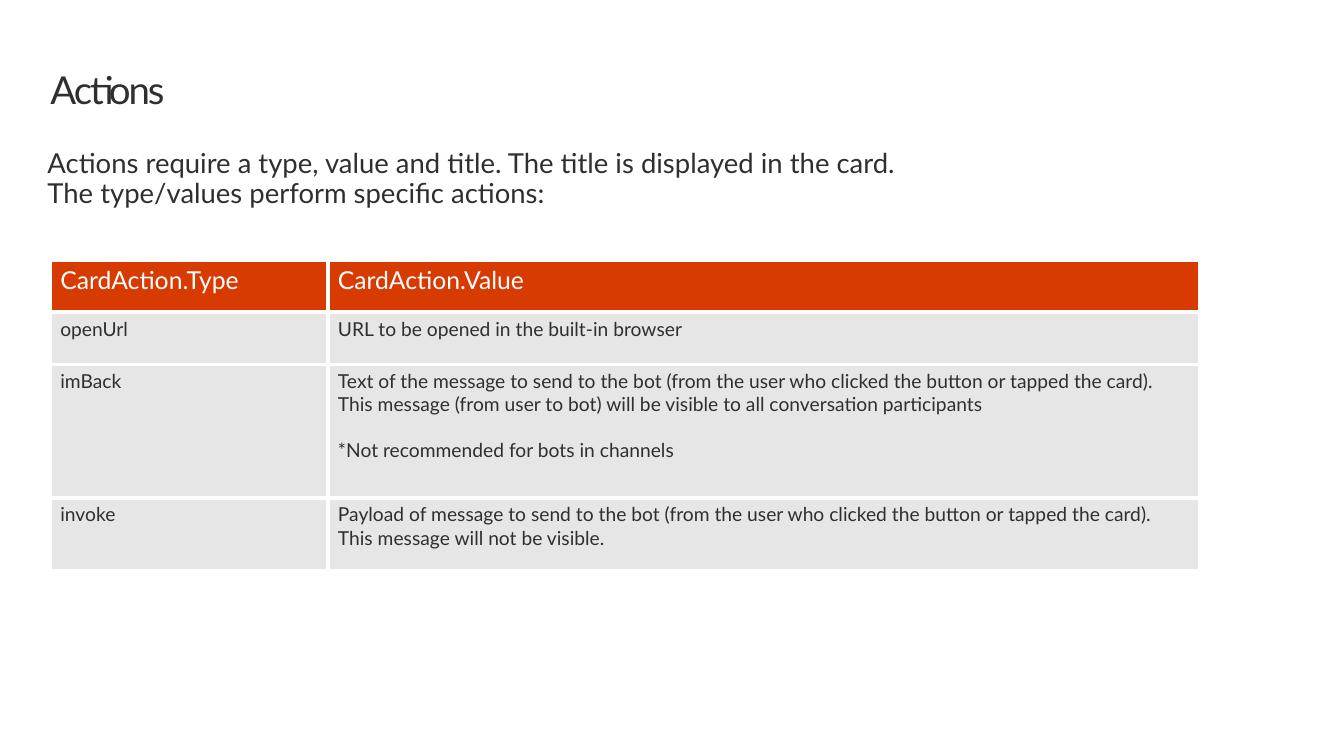
import pptx
import pptx.util
import pptx.dml.color
import pptx.enum.text
import pptx.oxml
import pptx.oxml.ns

Inches = pptx.util.Inches
Pt = pptx.util.Pt
RGBColor = pptx.dml.color.RGBColor
DARK = RGBColor(0x2F, 0x2F, 0x2F)
WHITE = RGBColor(0xFF, 0xFF, 0xFF)
ORANGE = RGBColor(0xD8, 0x3B, 0x01)
GRAY = RGBColor(0xE6, 0xE6, 0xE6)


def write(para, text, size=14, color=DARK, line=None, before=None, track=None):
    """Add a left-aligned run; track is letter spacing in points."""
    para.alignment = pptx.enum.text.PP_ALIGN.LEFT
    para.line_spacing = line
    para.space_before = before
    run = para.add_run()
    run.text = text
    run.font.name = "Lato"
    run.font.size = Pt(size)
    run.font.bold = False
    run.font.color.rgb = color
    if track is not None:
        run.font._element.set("spc", str(int(track * 100)))


def border(cell, sides):
    """Draw white 3 pt lines on the given sides, in the order L, R, T, B."""
    props = cell._tc.get_or_add_tcPr()
    for index, side in enumerate(sides):
        props.insert(index, pptx.oxml.parse_xml(
            f'<a:ln{side} {pptx.oxml.ns.nsdecls("a")} w="{Pt(3)}">'
            f'<a:solidFill><a:srgbClr val="{WHITE}"/></a:solidFill></a:ln{side}>'))


deck = pptx.Presentation()
deck.slide_width = Inches(13.6)
deck.slide_height = Inches(7.65)
slide = deck.slides.add_slide(deck.slide_layouts[5])

title = slide.shapes.title
title.left, title.top = Inches(0.51), Inches(0.69)
title.width, title.height = Inches(12.61), Inches(0.45)
frame = title.text_frame
frame.margin_left = frame.margin_right = frame.margin_top = frame.margin_bottom = 0
frame.vertical_anchor = pptx.enum.text.MSO_ANCHOR.TOP
frame.auto_size = pptx.enum.text.MSO_AUTO_SIZE.NONE
write(frame.paragraphs[0], "Actions", size=28, line=Pt(32), track=-1.5)

intro = slide.shapes.add_textbox(Inches(0.32), Inches(1.42), Inches(9.16), Inches(0.81))
frame = intro.text_frame
frame.word_wrap = True
frame.margin_left = frame.margin_right = Inches(0.16)
frame.margin_top = frame.margin_bottom = Inches(0.1)
write(frame.paragraphs[0],
      "Actions require a type, value and title. The title is displayed in the card. "
      "The type/values perform specific actions:", size=20, line=0.9)

# Each cell is a list of paragraphs
ROWS = [
    (["CardAction.Type"], ["CardAction.Value"]),
    (["openUrl"], ["URL to be opened in the built-in browser"]),
    (["imBack"], [
        "Text of the message to send to the bot (from the user who clicked the button "
        "or tapped the card). This message (from user to bot) will be visible to all "
        "conversation participants",
        "*Not recommended for bots in channels"]),
    (["invoke"], [
        "Payload of message to send to the bot (from the user who clicked the button "
        "or tapped the card). This message will not be visible."]),
]
WIDTHS = [2.81, 8.82]
HEIGHTS = [0.53, 0.53, 1.35, 0.74]

table = slide.shapes.add_table(len(ROWS), len(WIDTHS), Inches(0.51), Inches(2.63),
                               Inches(sum(WIDTHS)), Inches(sum(HEIGHTS))).table
table.horz_banding = False
for column, width in zip(table.columns, WIDTHS):
    column.width = Inches(width)
for r, (cells, height) in enumerate(zip(ROWS, HEIGHTS)):
    table.rows[r].height = Inches(height)
    head = r == 0
    for c, lines in enumerate(cells):
        cell = table.cell(r, c)
        cell.fill.solid()
        cell.fill.fore_color.rgb = ORANGE if head else GRAY
        border(cell, "LRTB")
        for i, text in enumerate(lines):
            para = cell.text_frame.add_paragraph() if i else cell.text_frame.paragraphs[0]
            write(para, text, size=18 if head else 14, color=WHITE if head else DARK,
                  before=Pt(16.8) if i else None)

deck.save("out.pptx")
